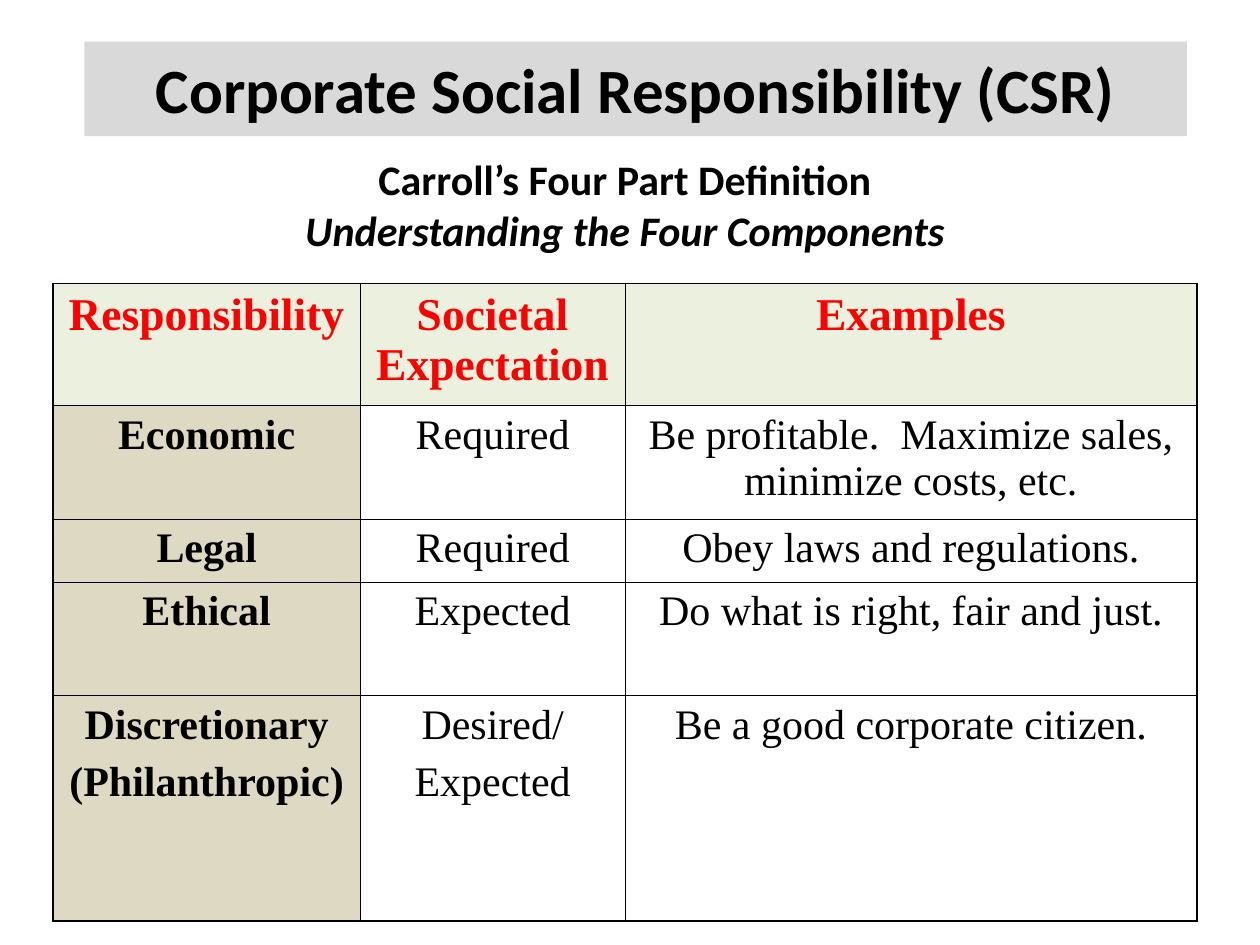
import pptx
import pptx.util
import pptx.dml.color
import pptx.enum.text
import pptx.oxml
import pptx.oxml.ns

Inch, Pt = pptx.util.Inches, pptx.util.Pt
CENTER = pptx.enum.text.PP_ALIGN.CENTER
TOP = pptx.enum.text.MSO_ANCHOR.TOP
MIDDLE = pptx.enum.text.MSO_ANCHOR.MIDDLE

WIDTHS = [2.44, 2.1, 4.54]
HEIGHTS = [0.97, 0.9, 0.5, 0.9, 1.79]
ROWS = [
    ["Responsibility", "Societal Expectation", "Examples"],
    ["Economic", "Required",
     "Be profitable.  Maximize sales, minimize costs, etc."],
    ["Legal", "Required", "Obey laws and regulations."],
    ["Ethical", "Expected", "Do what is right, fair and just."],
    ["Discretionary\n(Philanthropic)", "Desired/\nExpected",
     "Be a good corporate citizen."],
]


def color(code):
    return pptx.dml.color.RGBColor.from_string(code)


def paint(fill, code):
    fill.solid()
    fill.fore_color.rgb = color(code)


def style(para, size, face, bold, ink="000000"):
    para.alignment = CENTER
    font = para.font
    font.size, font.name, font.bold = Pt(size), face, bold
    font.color.rgb = color(ink)


def place(shape, left, top, width, height):
    shape.left, shape.top = Inch(left), Inch(top)
    shape.width, shape.height = Inch(width), Inch(height)


def add_title(slide, text):
    title = slide.shapes.title
    place(title, 0.67, 0.33, 8.75, 0.75)
    paint(title.fill, "D9D9D9")
    title.text_frame.text = text
    title.text_frame.vertical_anchor = MIDDLE
    style(title.text_frame.paragraphs[0], 36, "Calibri", True)


def add_subtitle(slide, lines):
    box = slide.shapes.add_textbox(
        Inch(0.75), Inch(1.25), Inch(8.42), Inch(0.83))
    frame = box.text_frame
    frame.word_wrap = True
    frame.text = "\n".join(lines)
    for para in frame.paragraphs:
        para.line_spacing = 0.8
        style(para, 24, "Calibri", True)
    last = frame.paragraphs[-1]
    last.space_before = Pt(6)
    last.font.italic = True


def set_edges(cell, widths):
    """Draw black borders; widths are points for left, right, top, bottom."""
    props = cell._tc.get_or_add_tcPr()
    for spot, (side, width) in enumerate(zip("LRTB", widths)):
        edge = pptx.oxml.parse_xml(
            f'<a:ln{side} {pptx.oxml.ns.nsdecls("a")} w="{Pt(width)}">'
            '<a:solidFill><a:srgbClr val="000000"/></a:solidFill>'
            f'</a:ln{side}>')
        props.insert(spot, edge)


def fill_cell(cell, text, row, col):
    head = row == 0
    cell.text = text
    cell.vertical_anchor = TOP
    for spot, para in enumerate(cell.text_frame.paragraphs):
        if spot:
            para.space_before = Pt(6)
        style(para, 26 if head else 24, "Times New Roman",
              head or col == 0, "FF0000" if head else "000000")
    if head:
        paint(cell.fill, "EBF1DE")
    elif col == 0:
        paint(cell.fill, "DDD9C3")
    else:
        cell.fill.background()
    outer = [col == 0, col == len(WIDTHS) - 1, head, row == len(ROWS) - 1]
    set_edges(cell, [1.08 if edge else 0.45 for edge in outer])


def add_grid(slide):
    table = slide.shapes.add_table(
        len(ROWS), len(WIDTHS), Inch(0.42), Inch(2.25),
        Inch(sum(WIDTHS)), Inch(sum(HEIGHTS))).table
    table.horz_banding = False
    for col, width in zip(table.columns, WIDTHS):
        col.width = Inch(width)
    for row, height in zip(table.rows, HEIGHTS):
        row.height = Inch(height)
    for row, texts in enumerate(ROWS):
        for col, text in enumerate(texts):
            fill_cell(table.cell(row, col), text, row, col)


def main():
    deck = pptx.Presentation()
    deck.slide_width, deck.slide_height = Inch(10), Inch(7.5)
    slide = deck.slides.add_slide(deck.slide_layouts.get_by_name("Title Only"))
    add_title(slide, "Corporate Social Responsibility (CSR)")
    add_subtitle(slide, ["Carroll’s Four Part Definition",
                         "Understanding the Four Components"])
    add_grid(slide)
    deck.save("out.pptx")


if __name__ == "__main__":
    main()
